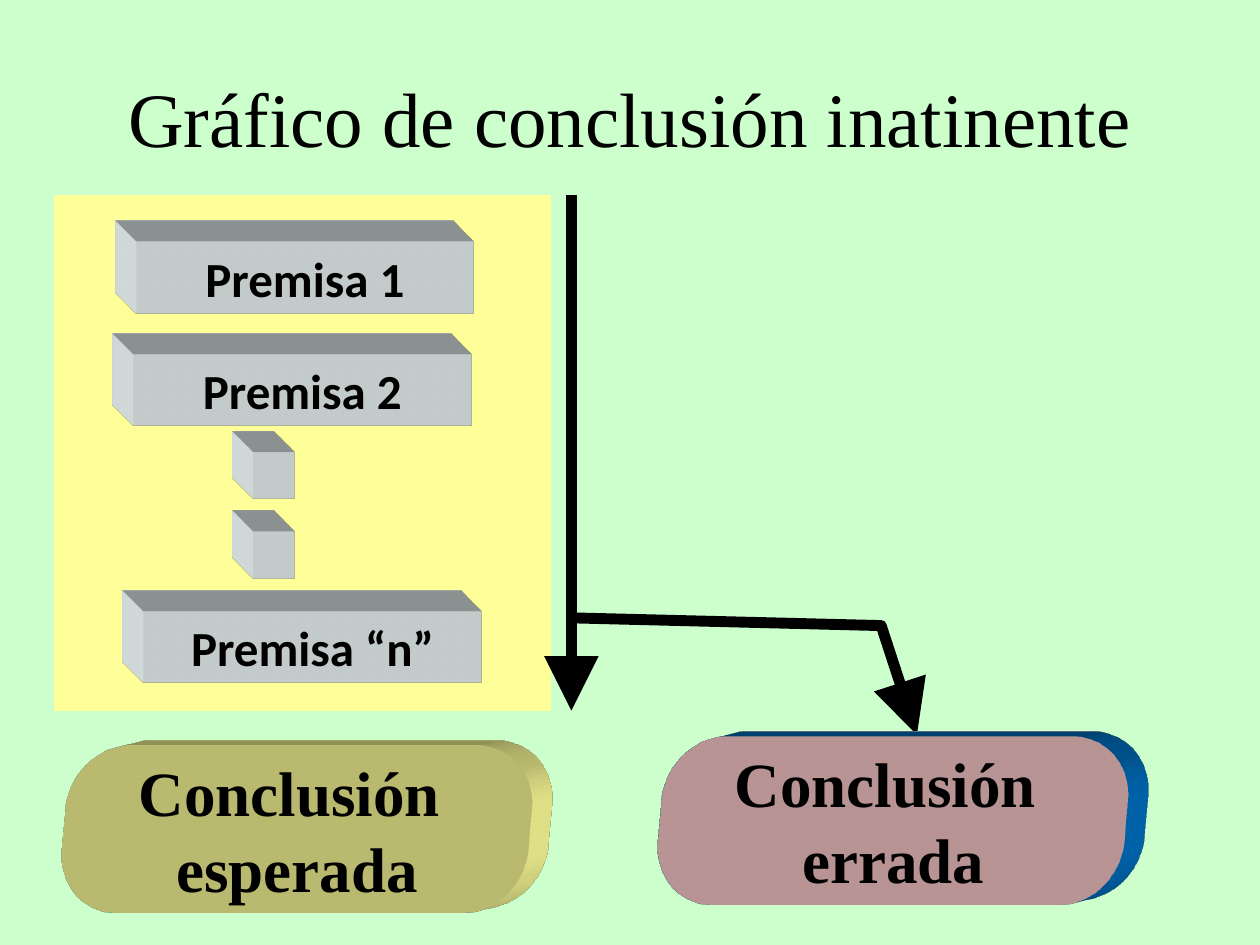
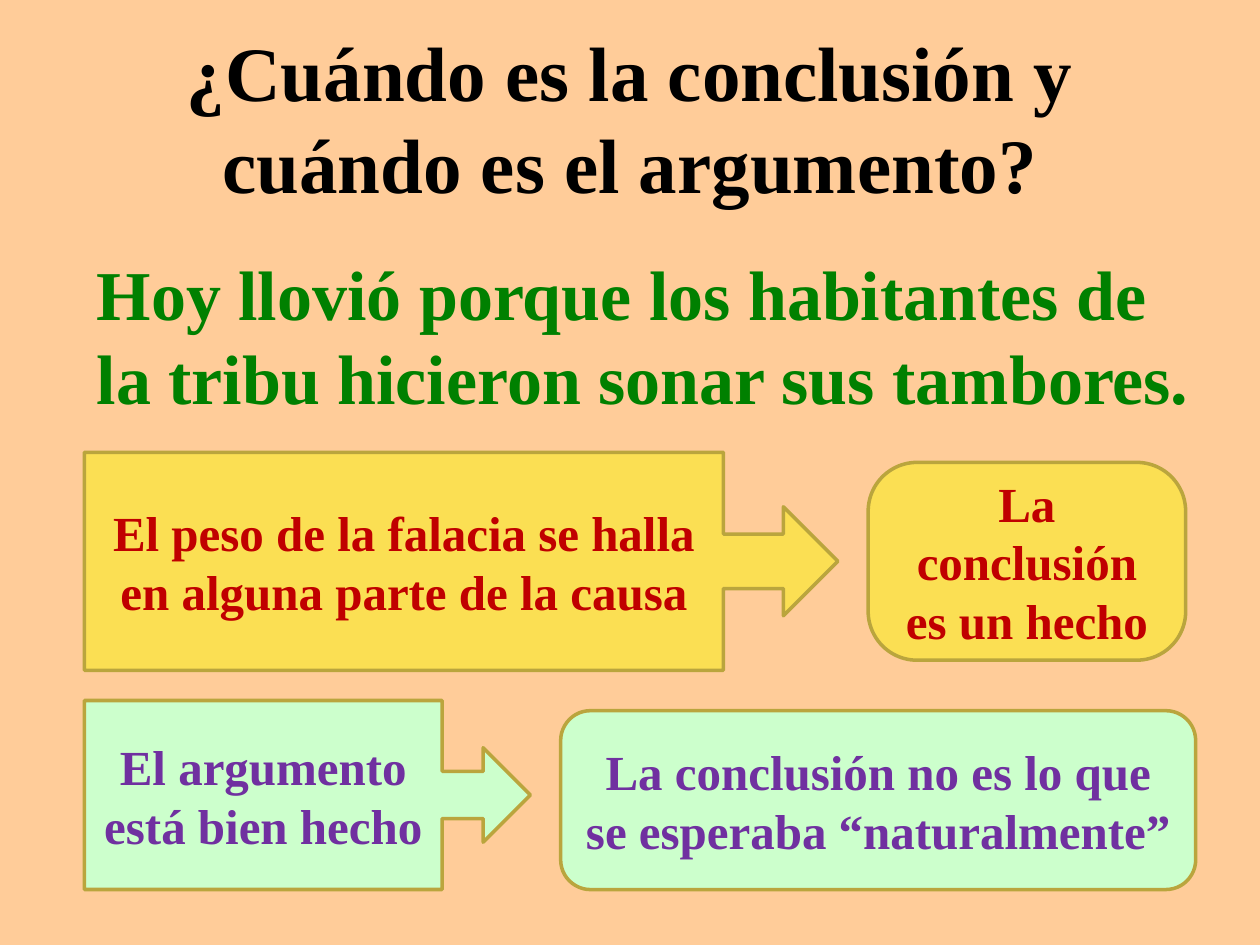
from lxml import etree
from pptx import Presentation
from pptx.dml.color import RGBColor
from pptx.enum.shapes import MSO_SHAPE
from pptx.enum.text import MSO_ANCHOR, PP_ALIGN
from pptx.oxml.ns import qn
from pptx.util import Inches, Pt

RECTANGLE = MSO_SHAPE.RECTANGLE
ROUNDED = MSO_SHAPE.ROUNDED_RECTANGLE
ARROW_CALLOUT = MSO_SHAPE.RIGHT_ARROW_CALLOUT
BENT_CALLOUT = MSO_SHAPE.LINE_CALLOUT_2_ACCENT_BAR
CENTER, LEFT = PP_ALIGN.CENTER, PP_ALIGN.LEFT
TOP, MIDDLE = MSO_ANCHOR.TOP, MSO_ANCHOR.MIDDLE

SERIF, SANS = "Times New Roman", "Calibri"
COLORS = {
    "mint": "CCFFCC", "peach": "FFCC99", "black": "000000", "green": "008000",
    "cream": "FFFF99", "yellow": "FBDF53", "gold": "BAA53D", "red": "C00000",
    "purple": "7030A0", "ice": "EEF7F8", "pink": "FFCCCC", "blue": "0070C0",
}

TITLE_AREA = (0.5, 0.3, 9, 1.25)
PREMISES_AREA = (0.43, 1.55, 3.94, 4.09)
PREMISES_ADJUST = (0.82, -0.042, 0.835, -0.666, 1.047, -0.738)
BAR_SIZE, DOT_SIZE = (2.68, 0.57), (0.33, 0.37)
BARS = [  # text, left, top, size
    ("Premisa 1", 1.08, 1.92, BAR_SIZE),
    ("Premisa 2", 1.06, 2.81, BAR_SIZE),
    ("", 2.01, 3.59, DOT_SIZE),
    ("", 2.01, 4.22, DOT_SIZE),
    ("Premisa “n”", 1.14, 4.85, BAR_SIZE),
]
CONCLUSION_SIZE, CONCLUSION_ADJUST = (3.7, 1.26), (0.379,)
CONCLUSIONS = [  # text, left, top, face, sides
    ("Conclusión \vesperada", 0.51, 5.95, "cream", "cream"),
    ("Conclusión \verrada", 5.24, 5.88, "pink", "blue"),
]
DEPTH = 0.47
TILT_BACK = 345  # degrees

EXAMPLE = "Hoy llovió porque los habitantes de la tribu hicieron sonar sus tambores."
STEPS = [  # text, shape, area, adjustments, fill, text colour
    ("El peso de la falacia se halla en alguna parte de la causa", ARROW_CALLOUT,
     (0.67, 3.59, 5.98, 1.73), (0.25, 0.25, 0.25, 0.848), "yellow", "red"),
    ("La conclusión es un hecho", ROUNDED,
     (6.89, 3.67, 2.52, 1.57), (0.247,), "yellow", "red"),
    ("El argumento está bien hecho", ARROW_CALLOUT,
     (0.67, 5.56, 3.54, 1.5), (0.25, 0.25, 0.25, 0.802), "mint", "purple"),
    ("La conclusión no es lo que se esperaba “naturalmente”", ROUNDED,
     (4.45, 5.64, 5.04, 1.42), (0.167,), "mint", "purple"),
]


def color(name):
    return RGBColor.from_string(COLORS[name])


def add_page(deck, background):
    page = deck.slides.add_slide(deck.slide_layouts[6])
    page.background.fill.solid()
    page.background.fill.fore_color.rgb = color(background)
    return page


def write(box, text, size=28, font=SERIF, ink="black", bold=True,
          align=CENTER, anchor=MIDDLE, wrap=True):
    frame = box.text_frame
    frame.word_wrap = wrap
    frame.vertical_anchor = anchor
    para = frame.paragraphs[0]
    para.text = text
    para.alignment = align
    for span in para.runs:
        span.font.size = Pt(size)
        span.font.name = font
        span.font.bold = bold
        span.font.color.rgb = color(ink)


def add_text(page, area, text, **style):
    write(page.shapes.add_textbox(*map(Inches, area)), text, **style)


def add_preset(page, kind, area, fill, adjust=(), line=None, width=2):
    shape = page.shapes.add_shape(kind, *map(Inches, area))
    for index, value in enumerate(adjust):
        shape.adjustments[index] = value
    shape.shadow.inherit = False
    shape.fill.solid()
    shape.fill.fore_color.rgb = color(fill)
    if line:
        shape.line.color.rgb = color(line)
        shape.line.width = Pt(width)
    else:
        shape.line.fill.background()
    return shape


def add_xml(parent, tag, **attributes):
    return etree.SubElement(parent, qn(f"a:{tag}"), **attributes)


def extrude(shape, camera, sides, tilt=0):
    """Give the shape solid depth, seen obliquely and tilted by some degrees."""
    properties = shape.element.spPr
    scene = add_xml(properties, "scene3d")
    view = add_xml(scene, "camera", prst=camera)
    if tilt:
        add_xml(view, "rot", lat=str(tilt * 60000), lon="0", rev="0")
    add_xml(scene, "lightRig", rig="legacyFlat3", dir="b")
    solid = add_xml(properties, "sp3d", extrusionH=str(Inches(DEPTH)),
                    prstMaterial="legacyMatte")
    for bevel in ("bevelT", "bevelB"):
        add_xml(solid, bevel, w="13500", h="13500", prst="angle")
    add_xml(add_xml(solid, "extrusionClr"), "srgbClr", val=COLORS[sides])


def build_diagram(deck):
    page = add_page(deck, "mint")
    premises = add_preset(page, BENT_CALLOUT, PREMISES_AREA, "cream",
                          PREMISES_ADJUST, line="black", width=6.25)
    premises.element.spPr.find(qn("a:xfrm")).set("flipH", "1")
    outline = premises.element.spPr.find(qn("a:ln"))
    add_xml(outline, "tailEnd", type="triangle", w="lg", len="lg")
    add_text(page, TITLE_AREA, "Gráfico de conclusión inatinente", size=44, bold=False)
    for text, left, top, size in BARS:
        bar = add_preset(page, RECTANGLE, (left, top, *size), "ice")
        extrude(bar, "legacyObliqueTopLeft", "ice")
        if text:
            write(bar, text, font=SANS, anchor=TOP)
    for text, left, top, face, sides in CONCLUSIONS:
        slab = add_preset(page, ROUNDED, (left, top, *CONCLUSION_SIZE), face,
                          CONCLUSION_ADJUST)
        extrude(slab, "legacyObliqueTopRight", sides, TILT_BACK)
        write(slab, text, size=36, wrap=False)


def build_question(deck):
    page = add_page(deck, "peach")
    add_text(page, TITLE_AREA, "¿Cuándo es la conclusión y cuándo es el argumento?", size=44)
    add_text(page, (0.67, 1.94, 8.9, 1.45), EXAMPLE, size=40, ink="green",
             align=LEFT, anchor=TOP)
    for text, kind, area, adjust, fill, ink in STEPS:
        write(add_preset(page, kind, area, fill, adjust, line="gold"), text, ink=ink)


def main():
    deck = Presentation()
    deck.slide_width, deck.slide_height = Inches(10), Inches(7.5)
    build_diagram(deck)
    build_question(deck)
    deck.save("out.pptx")


if __name__ == "__main__":
    main()
